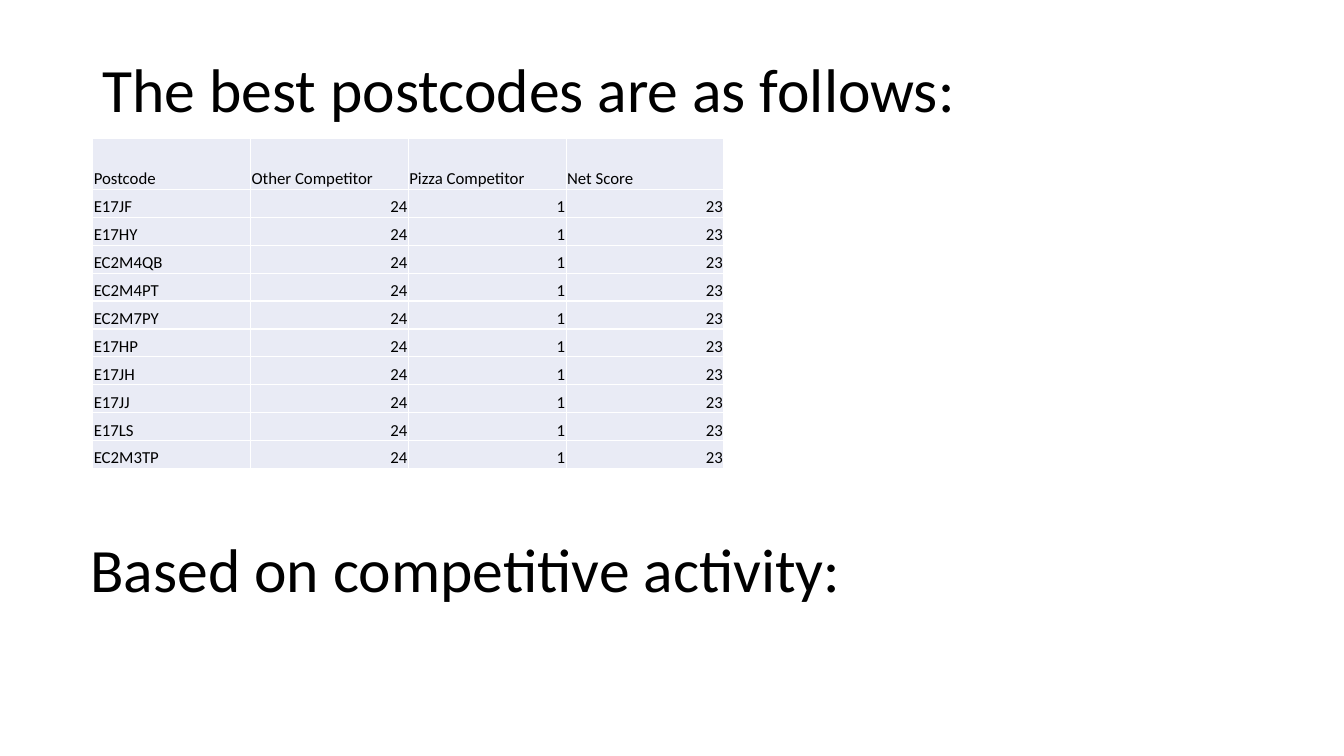
from pptx import Presentation
from pptx.dml.color import RGBColor
from pptx.enum.text import MSO_ANCHOR as Anchor, PP_ALIGN as Align
from pptx.oxml import parse_xml
from pptx.oxml.ns import nsdecls
from pptx.util import Inches, Pt

FONT, BLACK, WHITE, PALE = "Calibri", "000000", "FFFFFF", "E9EBF5"
HEADINGS = [
    ("The best postcodes are as follows:", 0.92, 0.47),
    ("Based on competitive activity:", 0.8, 5.23),
]
HEADER = ("Postcode", "Other Competitor", "Pizza Competitor", "Net Score")
POSTCODES = ["E17JF", "E17HY", "EC2M4QB", "EC2M4PT", "EC2M7PY",
             "E17HP", "E17JH", "E17JJ", "E17LS", "EC2M3TP"]
OTHER, PIZZA = 24, 1
ROWS = [HEADER] + [(code, OTHER, PIZZA, OTHER - PIZZA) for code in POSTCODES]
TABLE_LEFT, TABLE_TOP, TABLE_WIDTH = 0.92, 1.37, 6.26
HEADER_HEIGHT, ROW_HEIGHT = 0.51, 0.277


def color(value):
    return RGBColor.from_string(value)


def set_font(para, size):
    para.font.name = FONT
    para.font.size = Pt(size)
    para.font.color.rgb = color(BLACK)


def add_heading(page, text, left, top):
    box = page.shapes.add_textbox(Inches(left), Inches(top), Inches(11.33), Inches(0.9))
    frame = box.text_frame
    frame.word_wrap = True
    frame.vertical_anchor = Anchor.MIDDLE
    para = frame.paragraphs[0]
    para.text = text
    para.line_spacing = 0.9
    set_font(para, 44)


def add_borders(cell):
    properties = cell._tc.get_or_add_tcPr()
    for position, side in enumerate(("lnL", "lnR", "lnT", "lnB")):
        properties.insert(position, parse_xml(
            f'<a:{side} {nsdecls("a")} w="{Pt(1)}"><a:solidFill>'
            f'<a:srgbClr val="{WHITE}"/></a:solidFill></a:{side}>'))


def fill_cell(cell, value):
    cell.fill.solid()
    cell.fill.fore_color.rgb = color(PALE)
    cell.vertical_anchor = Anchor.BOTTOM
    cell.margin_left = cell.margin_right = cell.margin_top = Inches(0.01)
    cell.margin_bottom = 0
    para = cell.text_frame.paragraphs[0]
    para.text = str(value)
    para.alignment = Align.RIGHT if isinstance(value, int) else Align.LEFT
    set_font(para, 12)
    add_borders(cell)


def add_score_table(page):
    heights = [HEADER_HEIGHT] + [ROW_HEIGHT] * len(POSTCODES)
    table = page.shapes.add_table(
        len(ROWS), len(HEADER), Inches(TABLE_LEFT), Inches(TABLE_TOP),
        Inches(TABLE_WIDTH), Inches(sum(heights))).table
    for column in table.columns:
        column.width = Inches(TABLE_WIDTH / len(HEADER))
    for row, height, values in zip(table.rows, heights, ROWS):
        row.height = Inches(height)
        for cell, value in zip(row.cells, values):
            fill_cell(cell, value)


deck = Presentation()
deck.slide_width, deck.slide_height = Inches(13.33), Inches(7.5)
page = deck.slides.add_slide(deck.slide_layouts[6])
for heading in HEADINGS:
    add_heading(page, *heading)
add_score_table(page)
deck.save("out.pptx")
